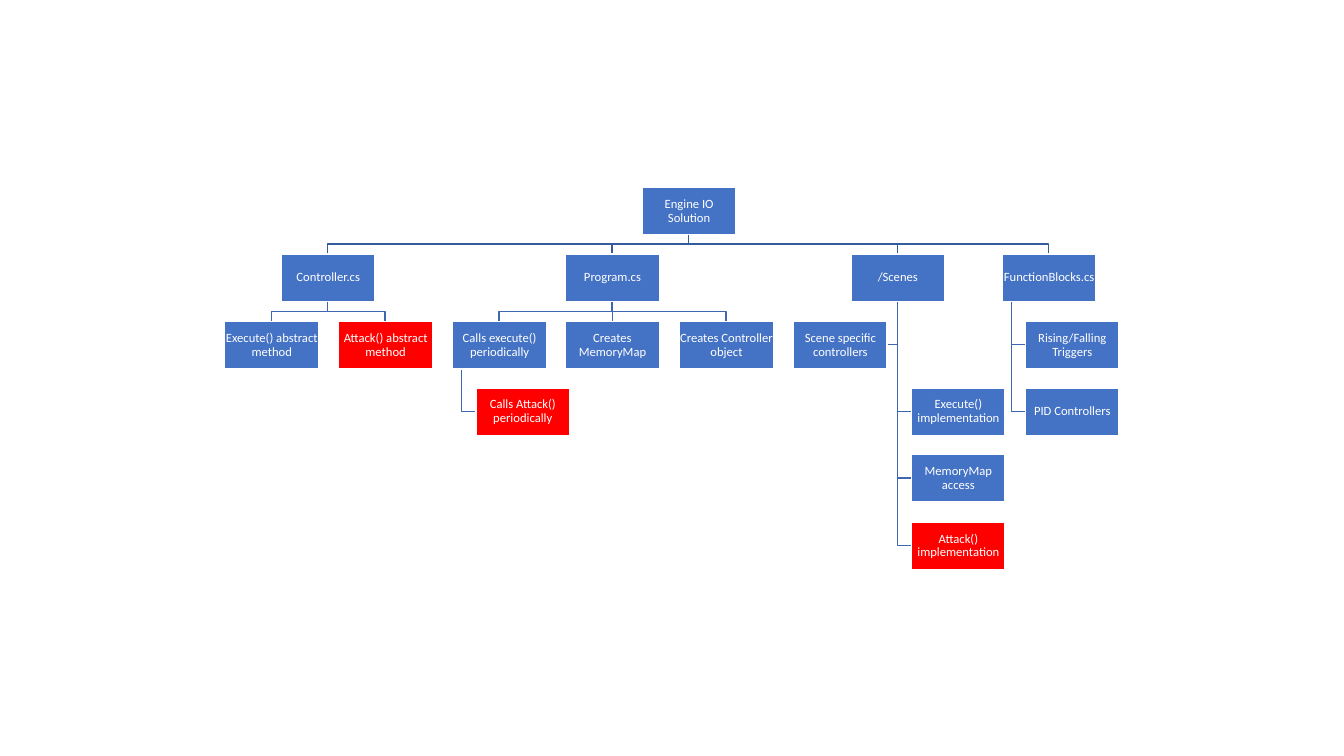
"""Build a slide with the class tree of the Engine IO solution."""
from dataclasses import dataclass
from lxml.etree import SubElement
from pptx import Presentation
from pptx.dml.color import RGBColor
from pptx.enum.shapes import MSO_CONNECTOR, MSO_SHAPE
from pptx.enum.text import MSO_ANCHOR, PP_ALIGN
from pptx.oxml.ns import qn
from pptx.util import Pt

NODES = [
    ("root", "Engine IO Solution", None, "top", 637, 0),
    ("control", "Controller.cs", "root", "row", 279, 1),
    ("abstract", "Execute() abstract method", "control", "row", 223, 2),
    ("attack", "Attack() abstract method", "control", "row", 336, 2),
    ("program", "Program.cs", "root", "row", 561, 1),
    ("calls", "Calls execute() periodically", "program", "row", 449, 2),
    ("repeat", "Calls Attack() periodically", "calls", "hang", None, 3),
    ("memory", "Creates MemoryMap", "program", "row", 561, 2),
    ("object", "Creates Controller object", "program", "row", 674, 2),
    ("scenes", "/Scenes", "root", "row", 844, 1),
    ("scene", "Scene specific controllers", "scenes", "left", None, 2),
    ("execute", "Execute() implementation", "scenes", "right", None, 3),
    ("access", "MemoryMap access", "scenes", "right", None, 4),
    ("assault", "Attack() implementation", "scenes", "right", None, 5),
    ("blocks", "FunctionBlocks.cs", "root", "row", 994, 1),
    ("rising", "Rising/Falling Triggers", "blocks", "hang", None, 2),
    ("pid", "PID Controllers", "blocks", "hang", None, 3),
]
ALERT = {"attack", "repeat", "assault"}

PX = 9144
WIDE, HIGH = 1333, 750
BOX_W, BOX_H = 93, 47
TOP, STEP = 186, 199
TRUNK, STUB, GAP = 9, 14, 10


@dataclass(frozen=True)
class Theme:
    """Hold the colours and type of the slide."""
    box: RGBColor = RGBColor.from_string("4472C4")
    alert: RGBColor = RGBColor.from_string("FF0000")
    white: RGBColor = RGBColor.from_string("FFFFFF")
    main: RGBColor = RGBColor.from_string("365B9D")
    branch: RGBColor = RGBColor.from_string("3E67B2")
    font: str = "Calibri"
    size: int = Pt(9)
    line: int = Pt(1)


THEME = Theme()


def place():
    """Return the left and top of each box."""
    spots = {}
    for name, _, parent, mode, left, row in NODES:
        if mode == "hang":
            left = spots[parent][0] + TRUNK + STUB
        elif mode == "left":
            left = spots[parent][0] + BOX_W // 2 - GAP - BOX_W
        elif mode == "right":
            left = spots[parent][0] + BOX_W // 2 + STUB
        spots[name] = (left, TOP + round(STEP * row / 3))
    return spots


def route(start, end, mode):
    """Return the corner points of the link between two boxes."""
    half = BOX_W // 2
    x = start[0] + (TRUNK if mode == "hang" else half)
    y = start[1] + BOX_H
    if mode == "row":
        mid, goal = (y + end[1]) // 2, end[0] + half
        return [(x, y), (x, mid), (goal, mid), (goal, end[1])]
    level = end[1] + BOX_H // 2
    side = end[0] + (BOX_W if mode == "left" else 0)
    return [(x, y), (x, level), (side, level)]


def ink(shape, color):
    """Set the line of a shape."""
    shape.line.color.rgb = color
    shape.line.width = THEME.line


def trace(slide, points, color):
    """Draw a bent link."""
    pen = slide.shapes.build_freeform(*points[0], scale=PX)
    pen.add_line_segments(points[1:], close=False)
    link = pen.convert_to_shape()
    link.fill.background()
    link.shadow.inherit = False
    ink(link, color)


def join(slide, points, color):
    """Draw a straight link."""
    ends = [n * PX for point in (points[0], points[-1]) for n in point]
    link = slide.shapes.add_connector(MSO_CONNECTOR.STRAIGHT, *ends)
    ink(link, color)
    SubElement(link.element.spPr, qn("a:effectLst"))
    return link


def draw(slide, name, words, spot):
    """Draw a box with its label."""
    area = [n * PX for n in (*spot, BOX_W, BOX_H)]
    box = slide.shapes.add_shape(MSO_SHAPE.RECTANGLE, *area)
    box.shadow.inherit = False
    box.fill.solid()
    box.fill.fore_color.rgb = THEME.alert if name in ALERT else THEME.box
    ink(box, THEME.white)
    frame = box.text_frame
    frame.word_wrap = True
    frame.vertical_anchor = MSO_ANCHOR.MIDDLE
    frame.margin_left = frame.margin_right = 0
    frame.margin_top = frame.margin_bottom = 0
    para = frame.paragraphs[0]
    para.alignment = PP_ALIGN.CENTER
    para.line_spacing = 0.9
    run = para.add_run()
    run.text = words
    run.font.name = THEME.font
    run.font.size = THEME.size
    run.font.color.rgb = THEME.white
    return box


def main():
    """Build and save the slide."""
    deck = Presentation()
    deck.slide_width, deck.slide_height = WIDE * PX, HIGH * PX
    slide = deck.slides.add_slide(deck.slide_layouts[6])
    spots = place()
    links = []
    for name, _, parent, mode, _, _ in NODES:
        if parent is None:
            continue
        points = route(spots[parent], spots[name], mode)
        color = THEME.main if parent == "root" else THEME.branch
        if points[0][0] == points[-1][0]:
            links.append((join(slide, points, color), parent, name))
        else:
            trace(slide, points, color)
    boxes = {node[0]: draw(slide, *node[:2], spots[node[0]]) for node in NODES}
    for link, parent, name in links:
        link.begin_connect(boxes[parent], 2)
        link.end_connect(boxes[name], 0)
    deck.save("out.pptx")


if __name__ == "__main__":
    main()
